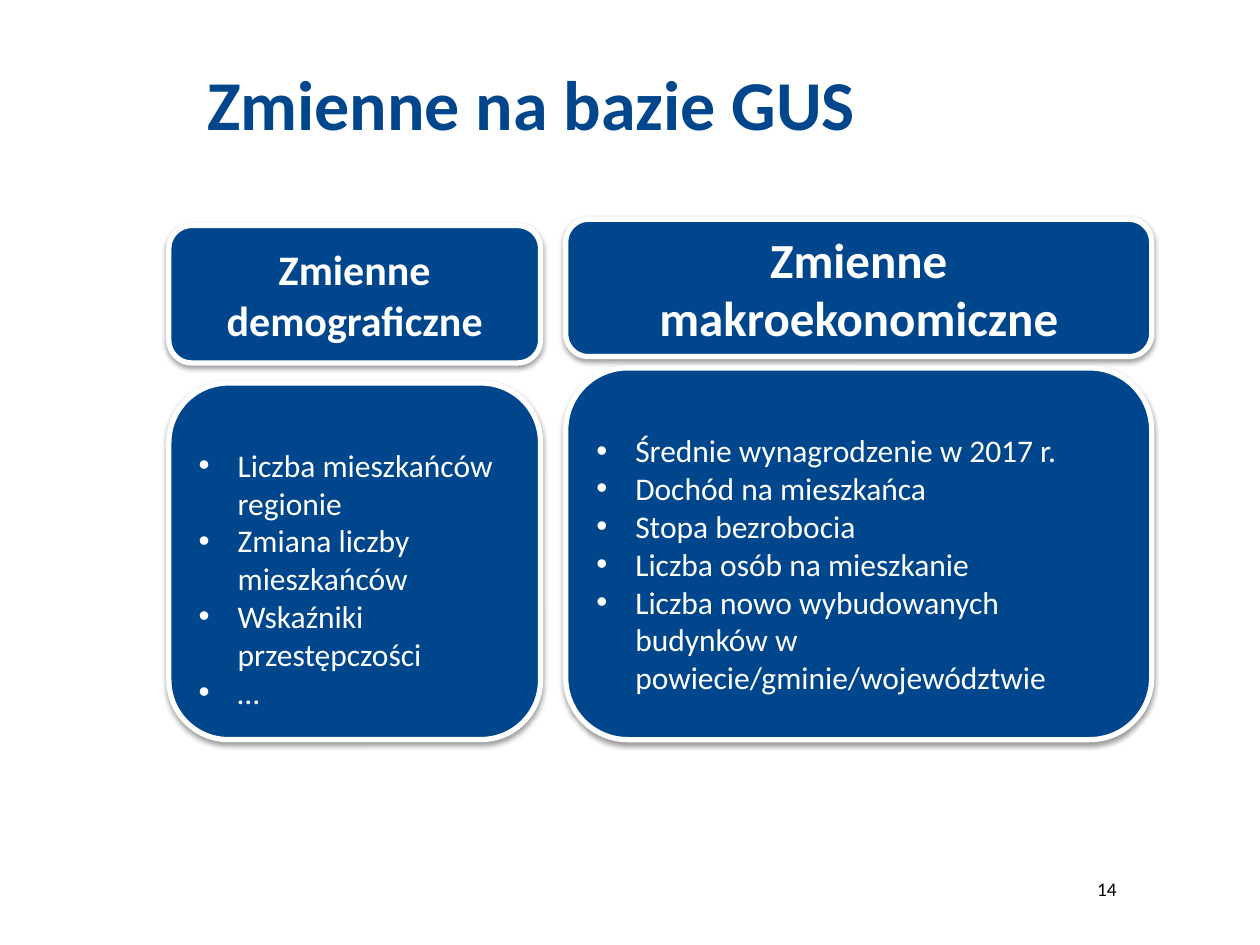
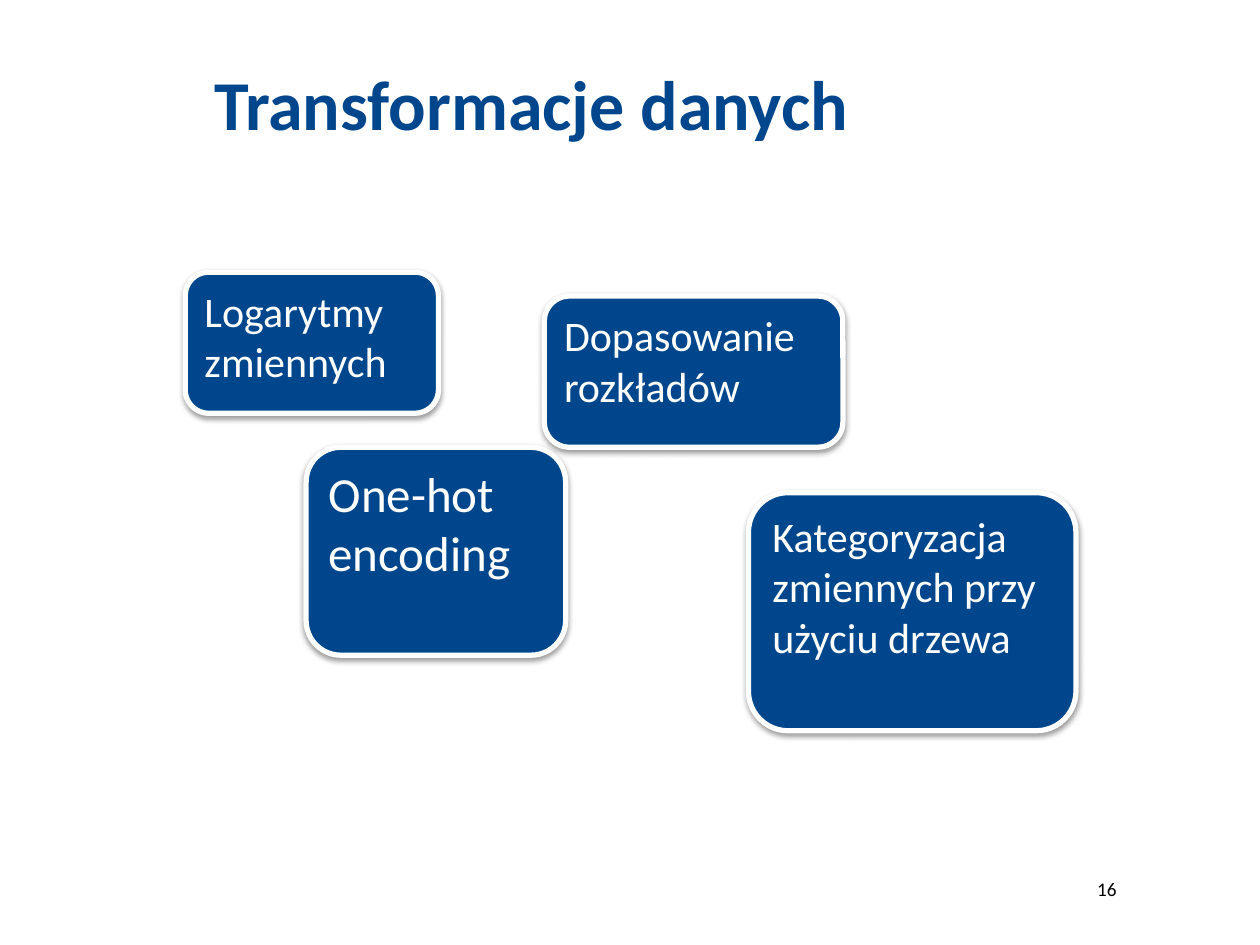
from lxml.etree import SubElement
from pptx import Presentation
from pptx.dml.color import RGBColor
from pptx.enum.shapes import MSO_SHAPE
from pptx.enum.text import MSO_ANCHOR, PP_ALIGN
from pptx.oxml.ns import qn
from pptx.util import Emu, Pt

BLUE, WHITE, BLACK = "00468C", "FFFFFF", "000000"
BLANK_LAYOUT = 6


def px(length):
    """Turn px (100 to the inch) into EMU."""
    return Emu(length * 9144)


def color(hex_code):
    """Turn a hex string into a colour."""
    return RGBColor.from_string(hex_code)


def add_bullet(paragraph, indent):
    """Give a paragraph a hanging round bullet."""
    properties = paragraph._p.get_or_add_pPr()
    properties.set("marL", str(px(indent)))
    properties.set("indent", str(-px(indent)))
    SubElement(properties, qn("a:buFont"), typeface="Arial")
    SubElement(properties, qn("a:buChar"), char="•")


def write(frame, *lines, size, ink=WHITE, bold=False, align=PP_ALIGN.LEFT,
          anchor=MSO_ANCHOR.TOP, insets=(10, 5, 10, 5), indent=0):
    """Fill a text frame with one paragraph for each line."""
    frame.word_wrap = True
    frame.vertical_anchor = anchor
    (frame.margin_left, frame.margin_top,
     frame.margin_right, frame.margin_bottom) = map(px, insets)
    for index, line in enumerate(lines):
        paragraph = frame.add_paragraph() if index else frame.paragraphs[0]
        paragraph.alignment = align
        if indent:
            add_bullet(paragraph, indent)
        run = paragraph.add_run()
        run.text = line
        run.font.name = "Calibri"
        run.font.size = Pt(size)
        run.font.bold = bold
        run.font.color.rgb = color(ink)


class Deck:
    """Hold the shared style and the current slide."""

    def __init__(self):
        """Start a 10 by 7.5 inch presentation."""
        self.presentation = Presentation()
        self.presentation.slide_width = px(1000)
        self.presentation.slide_height = px(750)
        self.slide = None

    def start_slide(self, title, number):
        """Add a slide with its title and page number."""
        layout = self.presentation.slide_layouts[BLANK_LAYOUT]
        self.slide = self.presentation.slides.add_slide(layout)
        self.label((87, 48, 669, 98), title, size=40, ink=BLUE, bold=True)
        self.label((835, 686, 87, 39), str(number), size=11, ink=BLACK,
                   anchor=MSO_ANCHOR.MIDDLE)

    def label(self, box, text, **style):
        """Add centred text without a frame."""
        area = self.slide.shapes.add_textbox(*map(px, box))
        write(area.text_frame, text, align=PP_ALIGN.CENTER,
              insets=(0, 0, 0, 0), **style)

    def card(self, box, *lines, **style):
        """Add a blue rounded card with a white edge and a soft shadow."""
        card = self.slide.shapes.add_shape(
            MSO_SHAPE.ROUNDED_RECTANGLE, *map(px, box))
        card.fill.solid()
        card.fill.fore_color.rgb = color(BLUE)
        card.line.color.rgb = color(WHITE)
        card.line.width = Pt(3)
        card.shadow.inherit = False
        effects = card._element.spPr.find(qn("a:effectLst"))
        shadow = SubElement(effects, qn("a:outerShdw"), blurRad="40000",
                            dist="20000", dir="5400000", rotWithShape="0")
        shade = SubElement(shadow, qn("a:srgbClr"), val=BLACK)
        SubElement(shade, qn("a:alpha"), val="38000")
        write(card.text_frame, *lines, **style)

    def heading(self, box, text, size):
        """Add a card with a centred bold heading."""
        self.card(box, text, size=size, bold=True, align=PP_ALIGN.CENTER,
                  anchor=MSO_ANCHOR.MIDDLE)

    def bullets(self, box, lines):
        """Add a card with a bulleted list."""
        self.card(box, *lines, size=18, insets=(10, 36, 10, 5), indent=31)


def build_variables(deck):
    """Build the two columns of variables."""
    demographic = ("Liczba mieszkańców regionie", "Zmiana liczby mieszkańców",
                   "Wskaźniki przestępczości", "…")
    macroeconomic = (
        "Średnie wynagrodzenie w 2017 r.", "Dochód na mieszkańca",
        "Stopa bezrobocia", "Liczba osób na mieszkanie",
        "Liczba nowo wybudowanych budynków w powiecie/gminie/województwie")
    columns = (
        (134, 295, 179, 304, "Zmienne demograficzne", 24, demographic),
        (449, 465, 174, 292, "Zmienne makroekonomiczne", 28, macroeconomic))
    bottom = 587
    deck.start_slide("Zmienne na bazie GUS", 14)
    for left, width, heading_top, list_top, heading, size, variables in columns:
        deck.heading((left, heading_top, width, 109), heading, size)
        deck.bullets((left, list_top, width, bottom - list_top), variables)


def build_transformations(deck):
    """Build the scattered cards of transformations."""
    transformations = (
        ((147, 216, 201, 112), "Logarytmy zmiennych", 24),
        ((243, 355, 206, 165), "One-hot encoding", 28),
        ((432, 235, 237, 120), "Dopasowanie rozkładów", 24),
        ((594, 391, 260, 189), "Kategoryzacja zmiennych przy użyciu drzewa", 24))
    deck.start_slide("Transformacje danych", 16)
    for box, transformation, size in transformations:
        deck.card(box, transformation, size=size)


def main():
    """Build and save both slides."""
    deck = Deck()
    build_variables(deck)
    build_transformations(deck)
    deck.presentation.save("out.pptx")


if __name__ == "__main__":
    main()
